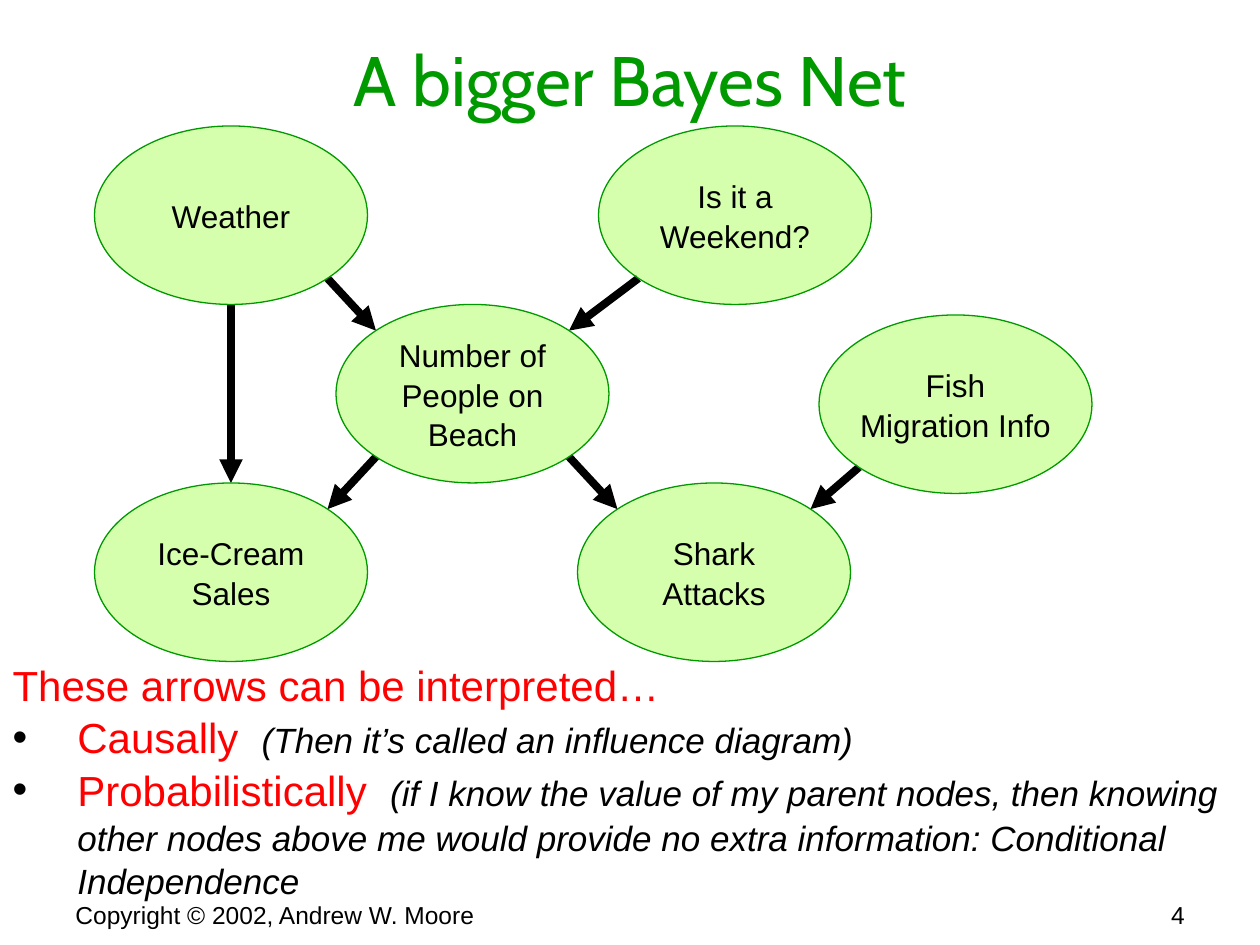
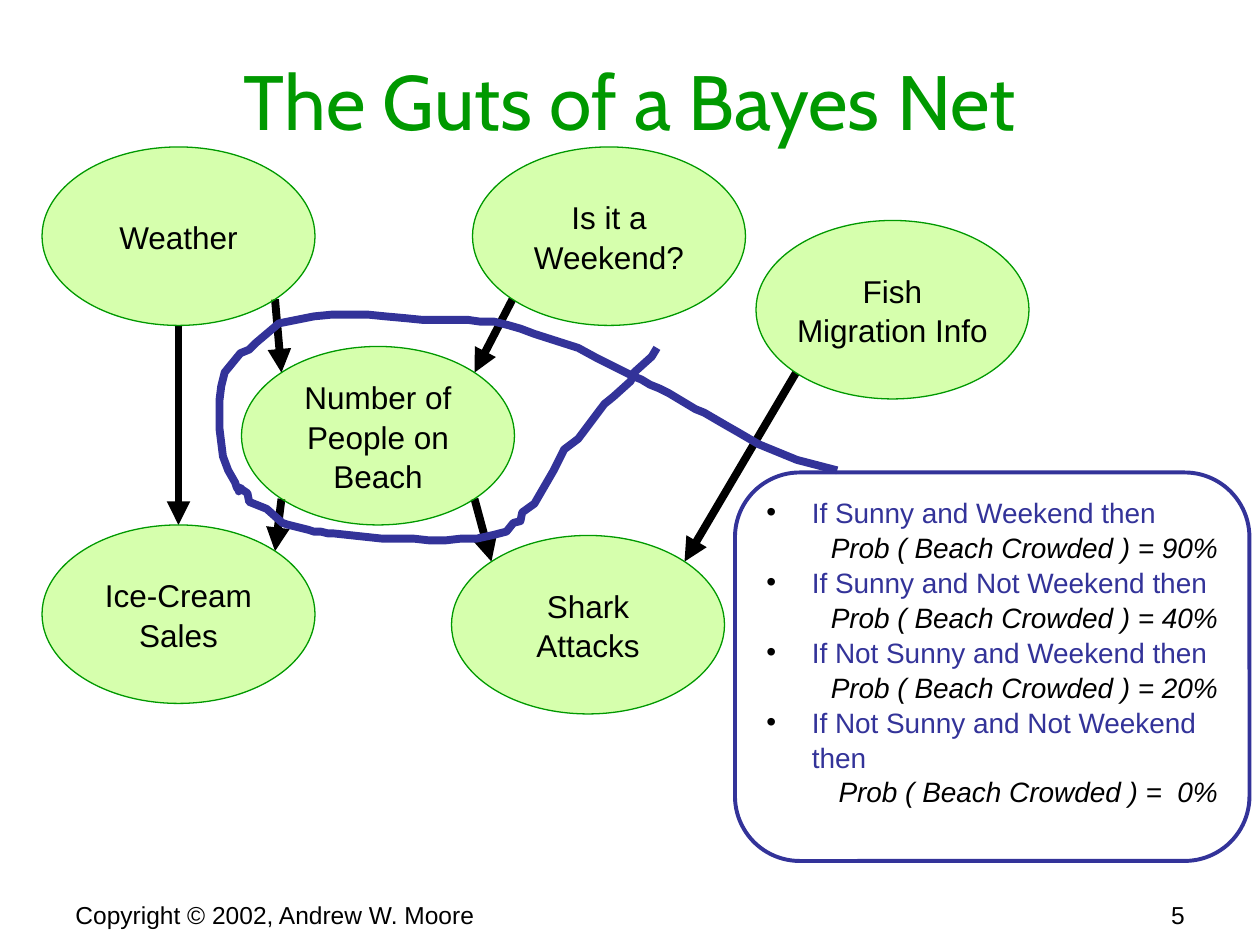
import math
from lxml import etree
from pptx import Presentation
from pptx.dml.color import RGBColor
from pptx.enum import shapes, text
from pptx.oxml import ns
from pptx.util import Pt

COLORS = {"green": "009900", "lime": "99FF33", "black": "000000",
          "red": "FF0000", "navy": "333399", "white": "FFFFFF"}
BODY_FONT, TITLE_FONT = "Arial", "Cabin"
NODE_W, NODE_H = 156, 102
LABELS = {
    "weather": "Weather",
    "weekend": "Is it a\nWeekend?",
    "beach": "Number of\nPeople on\nBeach",
    "fish": "Fish\nMigration Info",
    "ice": "Ice-Cream\nSales",
    "shark": "Shark\nAttacks",
}
ARROWS = [("weather", "ice"), ("weather", "beach"), ("weekend", "beach"),
          ("beach", "ice"), ("beach", "shark"), ("fish", "shark")]
BIG_NET = {"weather": (54, 72), "weekend": (342, 72), "beach": (192, 174),
           "fish": (468, 180), "ice": (54, 276), "shark": (330, 276)}
GUTS_NET = {"weather": (24, 84), "weekend": (270, 84), "beach": (138, 198),
            "fish": (432, 126), "ice": (24, 300), "shark": (258, 306)}
READINGS = [
    ("Causally  ", "(Then it’s called an influence diagram)"),
    ("Probabilistically  ",
     "(if I know the value of my parent nodes, then knowing other nodes above me "
     "would provide no extra information: Conditional Independence"),
]
RULES = [("Sunny and Weekend", "90%"), ("Sunny and Not Weekend", "40%"),
         ("Not Sunny and Weekend", "20%"), ("Not Sunny and Not Weekend", " 0%")]
LASSO = [
    (356, 91), (333, 85), (311, 76), (299, 69), (292, 65), (280, 58),
    (266, 52, 253, 42, 239, 37), (219, 27), (208, 21), (183, 13),
    (162, 3, 144, 6, 119, 5), (91, 1, 63, 0, 37, 7), (24, 18), (20, 22),
    (15, 24), (6, 35), (1, 55, 0, 80, 12, 98), (17, 109, 10, 96, 19, 104),
    (20, 109), (30, 113), (39, 121), (48, 125, 59, 126, 68, 127), (96, 130),
    (119, 130, 145, 133, 167, 126), (171, 121), (175, 120), (176, 115),
    (183, 110), (194, 91), (200, 79), (208, 73), (223, 53), (228, 49),
    (238, 40), (240, 35), (250, 26), (253, 21),
]


def rgb(name):
    return RGBColor.from_string(COLORS[name])


def assign(obj, **values):
    for name, value in values.items():
        setattr(obj, name, value)


def place(sp, x, y, w, h):
    assign(sp, left=Pt(x), top=Pt(y), width=Pt(w), height=Pt(h))


def style_font(font, size, color="black", name=BODY_FONT, italic=False):
    assign(font, size=Pt(size), name=name, italic=italic, bold=False)
    font.color.rgb = rgb(color)


def style_line(line, color, width):
    line.color.rgb = rgb(color)
    line.width = Pt(width)


def add_child(parent, tag, **attrs):
    return etree.SubElement(parent, ns.qn(tag), attrs)


def add_paragraph(tf, runs, bullet_indent=0, align=text.PP_ALIGN.LEFT):
    p = tf.paragraphs[0]
    if p.runs:
        p = tf.add_paragraph()
    assign(p, alignment=align, line_spacing=1.04, space_before=Pt(0), space_after=Pt(0))
    pPr = p._p.get_or_add_pPr()
    pPr.set("marL", str(Pt(bullet_indent)))
    pPr.set("indent", str(Pt(-bullet_indent)))
    if bullet_indent:
        color = add_child(pPr, "a:buClr")
        add_child(color, "a:srgbClr", val=COLORS["black"])
        add_child(pPr, "a:buFont", typeface=BODY_FONT)
        add_child(pPr, "a:buChar", char="•")
    else:
        add_child(pPr, "a:buNone")
    for words, size, color, italic in runs:
        r = p.add_run()
        r.text = words
        style_font(r.font, size, color, italic=italic)


def add_title(s, words, height, size):
    sp = s.shapes.title
    place(sp, 36, 18, 648, height)
    tf = sp.text_frame
    tf.text = words
    assign(tf, auto_size=text.MSO_AUTO_SIZE.NONE, word_wrap=True,
           vertical_anchor=text.MSO_ANCHOR.MIDDLE)
    p = tf.paragraphs[0]
    p.alignment = text.PP_ALIGN.CENTER
    style_font(p.runs[0].font, size, "green", TITLE_FONT)


def add_footer(s, number):
    parts = [(36, 300, "Copyright © 2002, Andrew W. Moore", text.PP_ALIGN.LEFT),
             (378, 306, str(number), text.PP_ALIGN.RIGHT)]
    for x, width, words, align in parts:
        tf = s.shapes.add_textbox(Pt(x), Pt(510), Pt(width), Pt(19.5)).text_frame
        tf.word_wrap = True
        add_paragraph(tf, [(words, 14, "black", False)], align=align)


def add_node(s, x, y, label):
    sp = s.shapes.add_shape(shapes.MSO_SHAPE.OVAL, Pt(x), Pt(y), Pt(NODE_W), Pt(NODE_H))
    sp.shadow.inherit = False
    sp.fill.solid()
    sp.fill.fore_color.rgb = rgb("lime")
    add_child(sp._element.spPr.find(".//" + ns.qn("a:srgbClr")), "a:alpha", val="40000")
    style_line(sp.line, "green", 0.75)
    tf = sp.text_frame
    assign(tf, word_wrap=False, vertical_anchor=text.MSO_ANCHOR.MIDDLE)
    for row in label.split("\n"):
        add_paragraph(tf, [(row, 18, "black", False)], align=text.PP_ALIGN.CENTER)


def add_arrow(s, start, end):
    dx = end[0] - start[0]
    side = (dx > 0) - (dx < 0)
    diagonal = math.sqrt(0.5)
    reach_x = side * diagonal * NODE_W / 2
    reach_y = (diagonal if side else 1) * NODE_H / 2
    mid_x, mid_y = NODE_W / 2, NODE_H / 2
    points = (start[0] + mid_x + reach_x, start[1] + mid_y + reach_y,
              end[0] + mid_x - reach_x, end[1] + mid_y - reach_y)
    cxn = s.shapes.add_connector(shapes.MSO_CONNECTOR.STRAIGHT, *map(Pt, points))
    style_line(cxn.line, "black", 4.5)
    add_child(cxn.line._get_or_add_ln(), "a:tailEnd", type="triangle")
    add_child(cxn._element.spPr, "a:effectLst")


def add_net(s, spots):
    for start, end in ARROWS:
        add_arrow(s, spots[start], spots[end])
    for key, (x, y) in spots.items():
        add_node(s, x, y, LABELS[key])


def add_readings(s, x, y, w, h):
    sp = s.placeholders[1]
    place(sp, x, y, w, h)
    tf = sp.text_frame
    assign(tf, auto_size=text.MSO_AUTO_SIZE.NONE, word_wrap=True)
    add_paragraph(tf, [("These arrows can be interpreted…", 24, "red", False)])
    for name, remark in READINGS:
        add_paragraph(tf, [(name, 24, "red", False), (remark, 20, "black", True)], 37)


def add_rules(s, x, y, w, h):
    sp = s.shapes.add_shape(shapes.MSO_SHAPE.ROUNDED_RECTANGLE, Pt(x), Pt(y), Pt(w), Pt(h))
    sp.shadow.inherit = False
    sp.fill.solid()
    sp.fill.fore_color.rgb = rgb("white")
    style_line(sp.line, "navy", 2.25)
    tf = sp.text_frame
    assign(tf, word_wrap=True, vertical_anchor=text.MSO_ANCHOR.MIDDLE, margin_bottom=Pt(21))
    for condition, chance in RULES:
        add_paragraph(tf, [(f"If {condition} then", 16, "navy", False)], 26)
        add_paragraph(tf, [(f"Prob ( Beach Crowded ) = {chance}", 16, "black", True)],
                      align=text.PP_ALIGN.RIGHT)


def curve_points(steps, samples=8):
    points = [steps[0]]
    for step in steps[1:]:
        if len(step) == 2:
            points.append(step)
            continue
        corners = [points[-1], step[:2], step[2:4], step[4:]]
        for i in range(1, samples + 1):
            t = i / samples
            weights = [math.comb(3, k) * t**k * (1 - t)**(3 - k) for k in range(4)]
            points.append(tuple(sum(c[axis] * m for c, m in zip(corners, weights))
                                for axis in (0, 1)))
    return points


def add_lasso(s, x, y):
    first, *rest = curve_points(LASSO)
    builder = s.shapes.build_freeform(*first, scale=Pt(1))
    builder.add_line_segments(rest, close=False)
    sp = builder.convert_to_shape(Pt(x), Pt(y))
    sp.shadow.inherit = False
    sp.fill.background()
    style_line(sp.line, "navy", 4.5)


def bigger_net_slide(prs):
    s = prs.slides.add_slide(prs.slide_layouts[1])
    add_title(s, "A bigger Bayes Net", 54, 40)
    add_net(s, BIG_NET)
    add_readings(s, 0, 372, 720, 142)
    add_footer(s, 4)


def guts_slide(prs):
    s = prs.slides.add_slide(prs.slide_layouts[5])
    add_title(s, "The Guts of a Bayes Net", 78, 44)
    add_net(s, GUTS_NET)
    add_rules(s, 420, 270, 294, 222)
    add_lasso(s, 122.4, 177.8)
    add_footer(s, 5)


def main():
    prs = Presentation()
    assign(prs, slide_width=Pt(720), slide_height=Pt(540))
    bigger_net_slide(prs)
    guts_slide(prs)
    prs.save("out.pptx")


if __name__ == "__main__":
    main()
